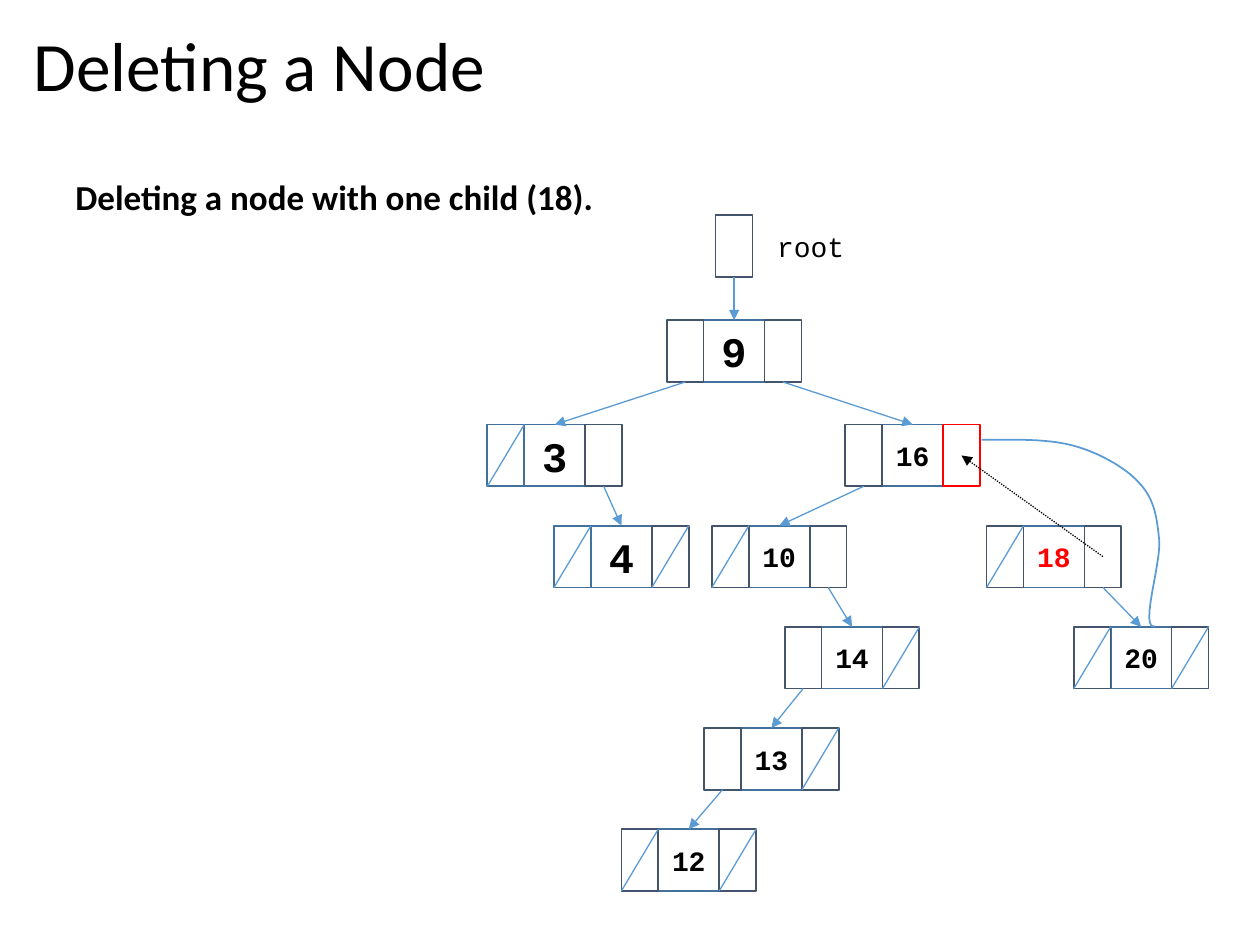
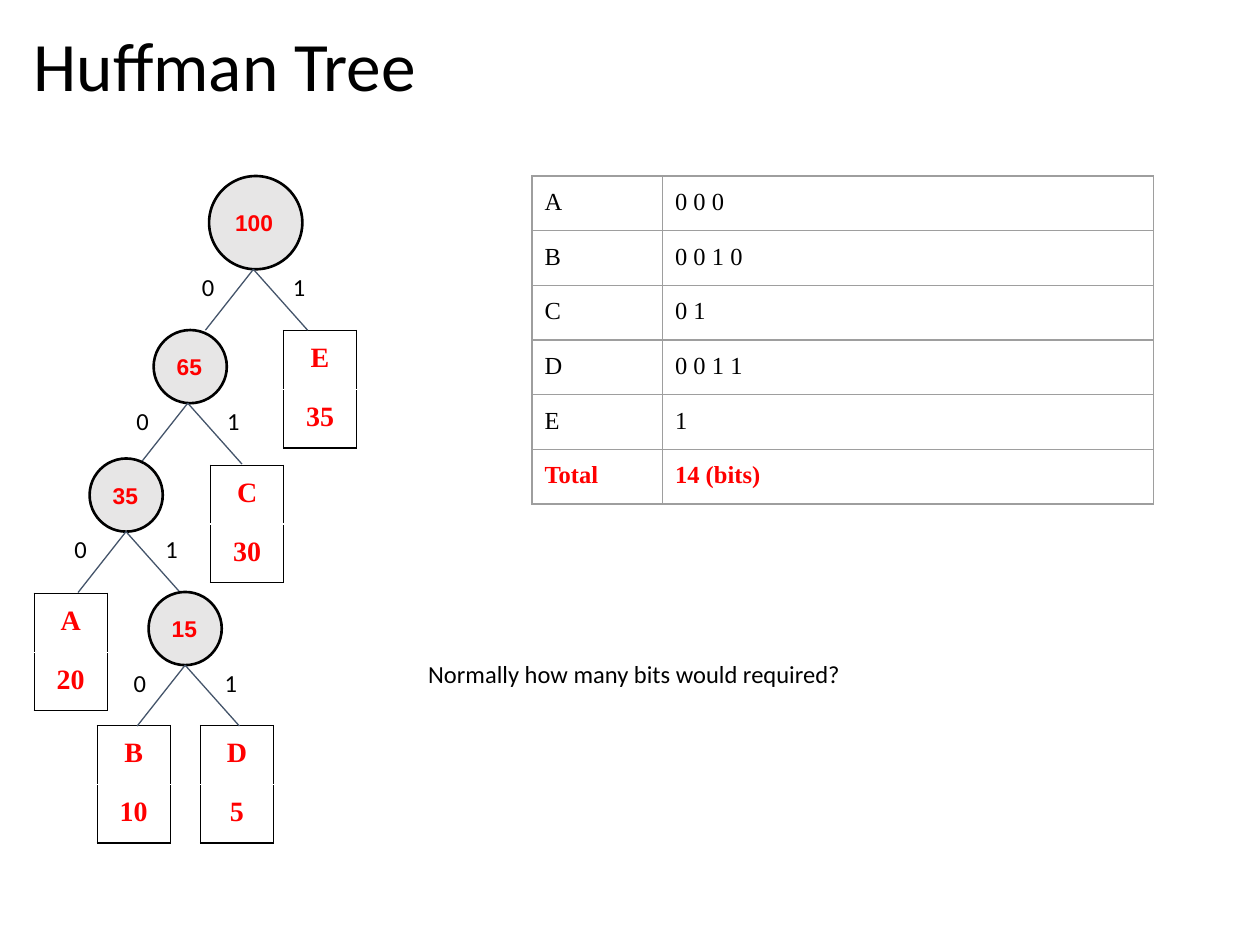
from lxml import etree
from pptx import Presentation
from pptx.dml.color import RGBColor
from pptx.enum import dml, shapes, text
from pptx.oxml import ns
from pptx.util import Pt

BLACK, RED, WHITE = "000000", "FF0000", "FFFFFF"
NAVY, STEEL, SKY = "44546A", "42719B", "5B9BD5"
SILVER, GREY = "E7E6E6", "9E9E9E"
SANS, MONO, SERIF, ARIAL = "Calibri", "Courier New", "Times New Roman", "Arial"
MID, LEFT = text.PP_ALIGN.CENTER, text.PP_ALIGN.LEFT

# Search tree: side cell, middle cell and height of a node
SIDE, CORE, TALL = 21.1, 34.8, 35.3
LEVELS = [183] + [242.6 + 57.8 * i for i in range(5)]
# key: (left, level, text size, cells struck out)
NODES = {
    "9": (381, 0, 24, ""),
    "3": (278.5, 1, 24, "L"),
    "16": (483, 1, 16, ""),
    "10": (406.8, 2, 16, "L"),
    "18": (563.8, 2, 16, "L"),
    "4": (316.6, 2, 24, "LR"),
    "13": (402.3, 4, 16, "R"),
    "14": (448.4, 3, 16, "R"),
    "20": (613.6, 3, 16, "LR"),
    "12": (355.1, 5, 16, "LR"),
}
LINKS = [("9", "L", "3"), ("9", "R", "16"), ("3", "R", "4"), ("16", "L", "10"),
         ("10", "R", "14"), ("14", "L", "13"), ("13", "L", "12"), ("18", "R", "20")]
# Bypass from 16 to 20: a start and cubic curves
START = (560.9, 251.3)
CURVES = [
    [(578.9, 251.3), (597.6, 250.6), (612.7, 254.5)],
    [(627.8, 258.5), (643, 267.1), (650.9, 275.8)],
    [(659.5, 285.1), (661, 294.5), (662.4, 308.2)],
    [(663.8, 321.8), (650.9, 360), (660, 358)],
]

# Huffman tree: value, left, top, size, x of the fork below
KNOTS = [("100", 119.5, 100.6, 53.3, 144.8), ("65", 87.8, 188.6, 41.8, 107.3),
         ("35", 51.2, 262, 41.8, 72), ("15", 84.9, 338.3, 41.8, 105.8)]
LEAVES = [("A", "20", 19.5, 339), ("C", "30", 120.3, 265.8), ("E", "35", 162, 188.8),
          ("B", "10", 55.5, 414.5), ("D", "5", 114.5, 414.5)]
CODES = [("A", "0 0 0"), ("B", "0 0 1 0"), ("C", "0 1"), ("D", "0 0 1 1"),
         ("E", "1"), ("Total", "14 (bits)")]


def paint(fmt, color):
    fmt.solid()
    fmt.fore_color.rgb = RGBColor.from_string(color)


def child(parent, tag, **attrs):
    return etree.SubElement(parent, ns.qn(tag), attrs)


def style(para, font, size, color=BLACK, bold=False, align=LEFT):
    para.alignment = align
    para.font.name, para.font.size, para.font.bold = font, Pt(size), bold
    paint(para.font.fill, color)


def write(frame, words, pad, **look):
    frame.word_wrap = True
    frame.margin_left = frame.margin_right = Pt(7.2)
    frame.margin_top = frame.margin_bottom = Pt(pad)
    frame.text = words
    style(frame.paragraphs[0], **look)
    return frame


def label(slide, words, x, y, w, h, pad=7.2, **look):
    box = slide.shapes.add_textbox(Pt(x), Pt(y), Pt(w), Pt(h))
    return write(box.text_frame, words, pad, **look)


def shape(slide, kind, x, y, w, h, color, width=1.0, fill=None):
    item = slide.shapes.add_shape(kind, Pt(x), Pt(y), Pt(w), Pt(h))
    item.shadow.inherit = False
    if fill:
        paint(item.fill, fill)
    else:
        item.fill.background()
    paint(item.line.fill, color)
    item.line.width = Pt(width)
    item.text_frame.vertical_anchor = text.MSO_ANCHOR.MIDDLE
    return item


def cell(slide, x, y, w=SIDE, color=NAVY):
    return shape(slide, shapes.MSO_SHAPE.RECTANGLE, x, y, w, TALL, color)


def line(slide, start, end, color=SKY, head=False, dots=False):
    link = slide.shapes.add_connector(
        shapes.MSO_CONNECTOR.STRAIGHT, *(Pt(v) for v in (*start, *end)))
    paint(link.line.fill, color)
    link.line.width = Pt(0.75)
    if dots:
        link.line.dash_style = dml.MSO_LINE.ROUND_DOT
    if head:
        child(link.line._get_or_add_ln(), "a:tailEnd", type="triangle")
    child(link._element.spPr, "a:effectLst")


def curve(slide, start, parts, steps=12):
    points, a = [], start
    for b, c, d in parts:
        for i in range(1, steps + 1):
            t = i / steps
            s = 1 - t
            points.append(tuple(
                Pt(s**3 * a[k] + 3 * s * s * t * b[k] + 3 * s * t * t * c[k] + t**3 * d[k])
                for k in (0, 1)))
        a = d
    pen = slide.shapes.build_freeform(Pt(start[0]), Pt(start[1]))
    pen.add_line_segments(points, close=False)
    item = pen.convert_to_shape()
    item.shadow.inherit = False
    item.fill.background()
    paint(item.line.fill, SKY)
    item.line.width = Pt(1)


def edges(box, **colors):
    props = box._tc.get_or_add_tcPr()
    for i, side in enumerate("LRTB"):
        ln = etree.Element(ns.qn("a:ln" + side), w=str(Pt(0.75)))
        child(child(ln, "a:solidFill"), "a:srgbClr", val=colors[side])
        props.insert(i, ln)


def table(slide, rows, x, y, widths, height, look, borders):
    """look and borders take a row number and give its settings."""
    grid = slide.shapes.add_table(len(rows), len(widths), Pt(x), Pt(y),
                                  Pt(sum(widths)), Pt(height * len(rows))).table
    grid.first_row = grid.horz_banding = False
    for col, width in zip(grid.columns, widths):
        col.width = Pt(width)
    for r, row in enumerate(rows):
        grid.rows[r].height = Pt(height)
        for c, words in enumerate(row):
            box = grid.cell(r, c)
            box.margin_left = box.margin_right = Pt(7.2)
            box.margin_top = box.margin_bottom = Pt(7.2)
            box.text = words
            style(box.text_frame.paragraphs[0], SERIF, **look(r))
            box.fill.background()
            edges(box, **borders(r))


def page(deck, title):
    slide = deck.slides.add_slide(deck.slide_layouts[6])
    frame = label(slide, title, 12.2, 13, 692.6, 53.3, 3.6, font=SANS, size=39.6)
    frame.vertical_anchor = text.MSO_ANCHOR.MIDDLE
    frame.paragraphs[0].line_spacing = 0.9
    return slide


# Parts of the search tree
def place(key, side):
    """Left and top of one side cell of a node."""
    x, level = NODES[key][:2]
    return x + (SIDE + CORE if side == "R" else 0), LEVELS[level]


def node(slide, key):
    x, level, size, struck = NODES[key]
    core = cell(slide, x + SIDE, LEVELS[level], CORE, STEEL)
    write(core.text_frame, key, 3.6, font=MONO, size=size, bold=True, align=MID,
          color=RED if key == "18" else BLACK)
    for side in "RL":
        left, top = place(key, side)
        color = NAVY
        if key == "16" and side == "R":
            color = RED
        elif key in ("3", "4") and side == "L":
            color = STEEL
        cell(slide, left, top, color=color)
        if side in struck:
            line(slide, (left + SIDE, top), (left, top + TALL))


def crown(key):
    x, level = NODES[key][:2]
    return x + SIDE + CORE / 2, LEVELS[level]


def center(key, side):
    x, y = place(key, side)
    return x + SIDE / 2, y + TALL / 2


def search(deck):
    slide = page(deck, "Deleting a Node")
    label(slide, "Deleting a node with one child (18).", 36, 96.5, 627, 31.7, 3.6,
          font=SANS, size=20, bold=True)
    for key in NODES:
        node(slide, key)
    for key, side, kid in LINKS:
        x, y = center(key, side)
        line(slide, (x, y + TALL / 2), crown(kid), head=True)

    # Root pointer
    x, y = crown("9")
    cell(slide, x - SIDE / 2, 123)
    line(slide, (x, 123 + TALL), (x, y), head=True)
    label(slide, "root", 437, 127.4, 152.6, 26.6, 3.6, font=MONO, size=16)

    # Bypass of the deleted node
    curve(slide, START, CURVES)
    line(slide, center("18", "R"), center("16", "R"), BLACK, head=True, dots=True)


# Parts of the Huffman tree
def knot(slide, value, x, y, size, fork):
    ball = shape(slide, shapes.MSO_SHAPE.OVAL, x, y, size, size, BLACK, 1.5, SILVER)
    write(ball.text_frame, value, 7.2, font=ARIAL, size=13, color=RED, bold=True)
    foot = y + size
    for dx in (-27.4, 31):
        line(slide, (fork, foot), (fork + dx, foot + 34.8), NAVY)
    frame = label(slide, "0\t1", fork - 36.5, foot - 5.6, 84.2, 31.7, font=SANS, size=14)
    tabs = etree.Element(ns.qn("a:tabLst"))
    child(tabs, "a:tab", pos=str(Pt(52)), algn="l")
    frame.paragraphs[0]._p.get_or_add_pPr().insert(0, tabs)


def leaf(slide, name, count, x, y):
    table(slide, [(name,), (count,)], x, y, [41.8], 32.1,
          lambda r: dict(size=16, color=RED, bold=True, align=MID),
          lambda r: dict(L=BLACK, R=BLACK, T=WHITE if r else BLACK, B=BLACK if r else WHITE))


def huffman(deck):
    slide = page(deck, "Huffman Tree")
    for item in LEAVES:
        leaf(slide, *item)
    for item in KNOTS:
        knot(slide, *item)
    last = len(CODES) - 1
    table(slide, CODES, 304, 100.6, [74.6, 280.8], 31.15,
          lambda r: dict(size=14, color=RED if r == last else BLACK, bold=r == last),
          lambda r: dict.fromkeys("LRTB", GREY))
    label(slide, "Normally how many bits would required?", 237.6, 369.4, 485, 31.7,
          font=SANS, size=14)


def main():
    deck = Presentation()
    deck.slide_width, deck.slide_height = Pt(720), Pt(540)
    search(deck)
    huffman(deck)
    deck.save("out.pptx")


if __name__ == "__main__":
    main()
